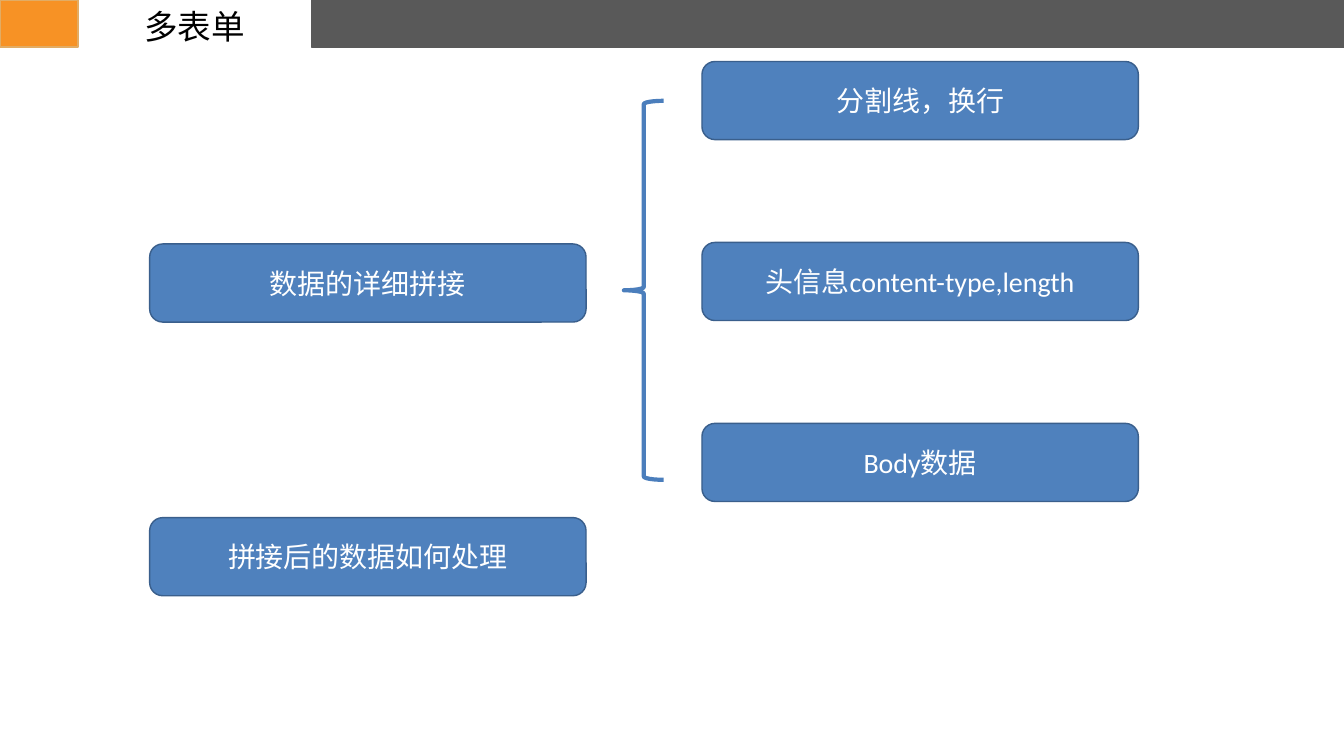
from pptx import Presentation
from pptx.dml.color import RGBColor
from pptx.enum.shapes import MSO_SHAPE
from pptx.enum.text import MSO_ANCHOR, PP_ALIGN
from pptx.util import Inches, Pt

RECT = MSO_SHAPE.RECTANGLE
ROUNDED = MSO_SHAPE.ROUNDED_RECTANGLE
BRACE = MSO_SHAPE.LEFT_BRACE
MIDDLE = MSO_ANCHOR.MIDDLE
CENTER = PP_ALIGN.CENTER

SLIDE_W, SLIDE_H = 26.67, 15
HEADER_H = 0.93
BOX_W, BOX_H = 8.66, 1.55


def rgb(value):
    """Turn a hex string into a colour."""
    return RGBColor.from_string(value)


def write_text(sp, text, size=40, color="FFFFFF", font="Calibri"):
    """Write one centred line of formatted text into a shape."""
    tf = sp.text_frame
    tf.word_wrap = True
    tf.vertical_anchor = MIDDLE
    p = tf.paragraphs[0]
    p.alignment = CENTER
    r = p.add_run()
    r.text = text
    r.font.name = font
    r.font.size = Pt(size)
    r.font.color.rgb = rgb(color)


def add_shape(slide, kind, x, y, w, h, fill=None, line="3A5F8C", weight=2):
    """Add a flat preset shape, hollow when no fill is given."""
    sp = slide.shapes.add_shape(kind, Inches(x), Inches(y), Inches(w), Inches(h))
    sp.shadow.inherit = False
    if fill:
        sp.fill.solid()
        sp.fill.fore_color.rgb = rgb(fill)
    else:
        sp.fill.background()
    sp.line.color.rgb = rgb(line)
    sp.line.width = Pt(weight)
    return sp


def add_header(slide, text, x, y, w, h):
    """Draw the header band: orange tab, title and grey bar."""
    tab_w, title_w = 1.55, 4.63
    bar_x = tab_w + title_w
    add_shape(slide, RECT, x + bar_x, y, w - bar_x, h, "595959", "595959")
    add_shape(slide, RECT, x, y, tab_w, h, "F79225", "E2AC64")
    title = slide.shapes.title
    title.left, title.top = Inches(x + tab_w), Inches(y + 0.06)
    title.width, title.height = Inches(title_w), Inches(0.91)
    write_text(title, text, size=48, color="000000")


def add_box_column(slide, labels, x, y, pitch):
    """Stack labelled boxes downwards at an equal pitch."""
    for i, label in enumerate(labels):
        sp = add_shape(slide, ROUNDED, x, y + i * pitch, BOX_W, BOX_H, "4F81BD")
        write_text(sp, label)


def add_topics(slide, x, y):
    """Draw the main topics, the brace and the details of the first topic."""
    add_box_column(slide, ["数据的详细拼接", "拼接后的数据如何处理"],
                   x, y + 3.62, pitch=5.43)
    add_shape(slide, BRACE, x + 9.41, y + 0.78, 0.79, 7.52,
              line="4B7EBC", weight=6)
    add_box_column(slide, ["分割线，换行", "头信息content-type,length", "Body数据"],
                   x + 10.96, y, pitch=3.59)


def main():
    """Build and save the slide."""
    prs = Presentation()
    prs.slide_width, prs.slide_height = Inches(SLIDE_W), Inches(SLIDE_H)
    slide = prs.slides.add_slide(prs.slide_layouts[5])
    add_header(slide, "多表单", 0, 0, SLIDE_W, HEADER_H)
    add_topics(slide, 2.97, 1.22)
    prs.save("out.pptx")


main()
